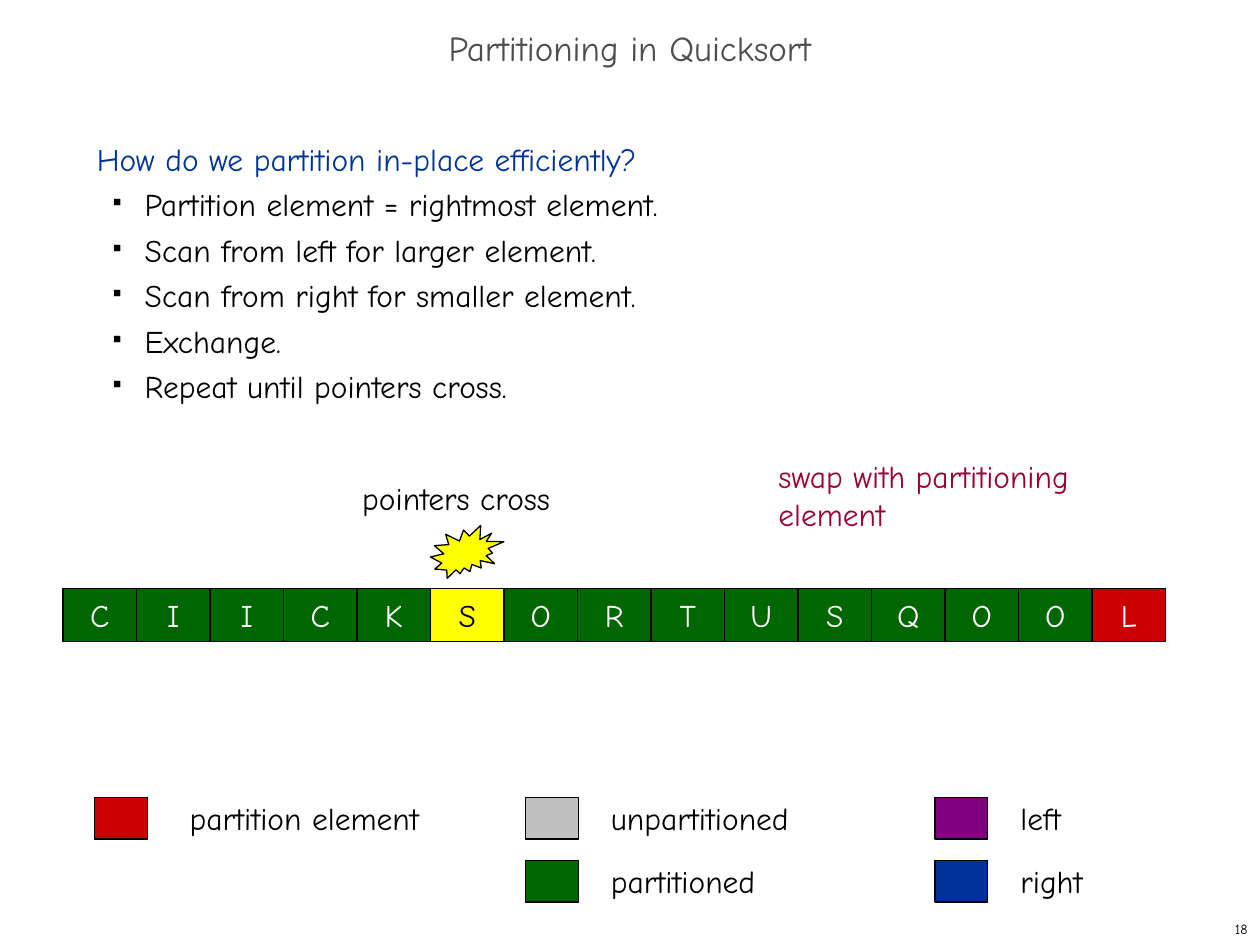
from lxml.etree import SubElement
from pptx import Presentation
from pptx.dml.color import RGBColor
from pptx.enum.shapes import MSO_SHAPE
from pptx.enum.text import MSO_ANCHOR, PP_ALIGN
from pptx.oxml.ns import qn
from pptx.util import Inches, Pt

FONT = "Comic Neue"
COLORS = {
    "black": "000000", "white": "FFFFFF", "title": "4D4D4D", "blue": "003399",
    "crimson": "990033", "green": "006600", "red": "CC0000",
    "yellow": "FFFF00", "gray": "C0C0C0", "purple": "800080",
}

TITLE = "Partitioning in Quicksort"
QUESTION = "How do we partition in-place efficiently?"
STEPS = [
    "Partition element = rightmost element.",
    "Scan from left for larger element.",
    "Scan from right for smaller element.",
    "Exchange.",
    "Repeat until pointers cross.",
]
LETTERS = "CIICKSORTUSQOOL"
CROSSING = 5
PIVOT = len(LETTERS) - 1
# label, swatch colour, left, row, alignment
LEGEND = [
    ("partition element", "red", 0.75, 0, PP_ALIGN.CENTER),
    ("unpartitioned", "gray", 4.17, 0, PP_ALIGN.LEFT),
    ("partitioned", "green", 4.17, 1, PP_ALIGN.LEFT),
    ("left", "purple", 7.42, 0, PP_ALIGN.LEFT),
    ("right", "blue", 7.42, 1, PP_ALIGN.LEFT),
]
CELL_W, CELL_H = 7 / 12, 0.42
ARRAY_LEFT, ARRAY_TOP = 0.5, 4.67


def rgb(name):
    return RGBColor.from_string(COLORS[name])


def write(p, text, color="black", size=18, align=PP_ALIGN.LEFT):
    p.alignment = align
    r = p.add_run()
    r.text = text
    r.font.name, r.font.size = FONT, Pt(size)
    r.font.color.rgb = rgb(color)


def add_text(s, box, text, anchor=MSO_ANCHOR.TOP, **style):
    tf = s.shapes.add_textbox(*map(Inches, box)).text_frame
    tf.word_wrap = True
    tf.vertical_anchor = anchor
    write(tf.paragraphs[0], text, **style)
    return tf


def add_filled(s, kind, box, color):
    sp = s.shapes.add_shape(kind, *map(Inches, box))
    sp.shadow.inherit = False
    sp.fill.solid()
    sp.fill.fore_color.rgb = rgb(color)
    sp.line.color.rgb = rgb("black")
    sp.line.width = Pt(0.75)
    return sp


def add_bullet(p):
    pPr = p._p.get_or_add_pPr()
    pPr.set("marL", str(Inches(0.38)))
    pPr.set("indent", str(Inches(-0.25)))
    clr = SubElement(pPr, qn("a:buClr"))
    SubElement(clr, qn("a:srgbClr"), val=COLORS["black"])
    SubElement(pPr, qn("a:buSzPct"), val="35000")
    SubElement(pPr, qn("a:buChar"), char="■")


def add_question(s):
    tf = add_text(s, (0.67, 1, 8.58, 2.67), QUESTION, color="blue")
    for step in STEPS:
        p = tf.add_paragraph()
        p.level = 1
        add_bullet(p)
        write(p, step)
    for p in tf.paragraphs:
        p.line_spacing = Pt(26)


def add_array(s):
    fills = {CROSSING: "yellow", PIVOT: "red"}
    for i, letter in enumerate(LETTERS):
        box = (ARRAY_LEFT + i * CELL_W, ARRAY_TOP, CELL_W, CELL_H)
        sp = add_filled(s, MSO_SHAPE.RECTANGLE, box, fills.get(i, "green"))
        tf = sp.text_frame
        tf.word_wrap = False
        tf.vertical_anchor = MSO_ANCHOR.MIDDLE
        write(tf.paragraphs[0], letter, align=PP_ALIGN.CENTER,
              color="black" if i == CROSSING else "white")


def add_legend(s):
    for label, color, left, row, align in LEGEND:
        top = 6.33 + row * 0.5
        width = 1.08 if left > 7 else 2.17
        add_filled(s, MSO_SHAPE.RECTANGLE, (left, top, 0.42, 0.33), color)
        add_text(s, (left + 0.58, top, width, 0.33), label,
                 MSO_ANCHOR.MIDDLE, align=align)


def main():
    prs = Presentation()
    prs.slide_width, prs.slide_height = Inches(10), Inches(7.5)
    s = prs.slides.add_slide(prs.slide_layouts[6])

    title = add_text(s, (0, 0.17, 10, 0.5), TITLE, MSO_ANCHOR.MIDDLE,
                     color="title", size=20, align=PP_ALIGN.CENTER)
    title.paragraphs[0].line_spacing = 0.7
    add_text(s, (2.58, 3.75, 2.08, 0.4), "pointers cross", align=PP_ALIGN.CENTER)
    add_filled(s, MSO_SHAPE.EXPLOSION2,
               (ARRAY_LEFT + CROSSING * CELL_W, ARRAY_TOP - 0.5, CELL_W, CELL_H),
               "yellow")
    add_text(s, (6.08, 3.58, 3, 0.7), "swap with partitioning element",
             color="crimson")
    add_legend(s)
    add_array(s)
    add_question(s)
    add_text(s, (7.92, 7.25, 2.08, 0.25), "18", MSO_ANCHOR.MIDDLE,
             size=8, align=PP_ALIGN.RIGHT)
    prs.save("out.pptx")


if __name__ == "__main__":
    main()
